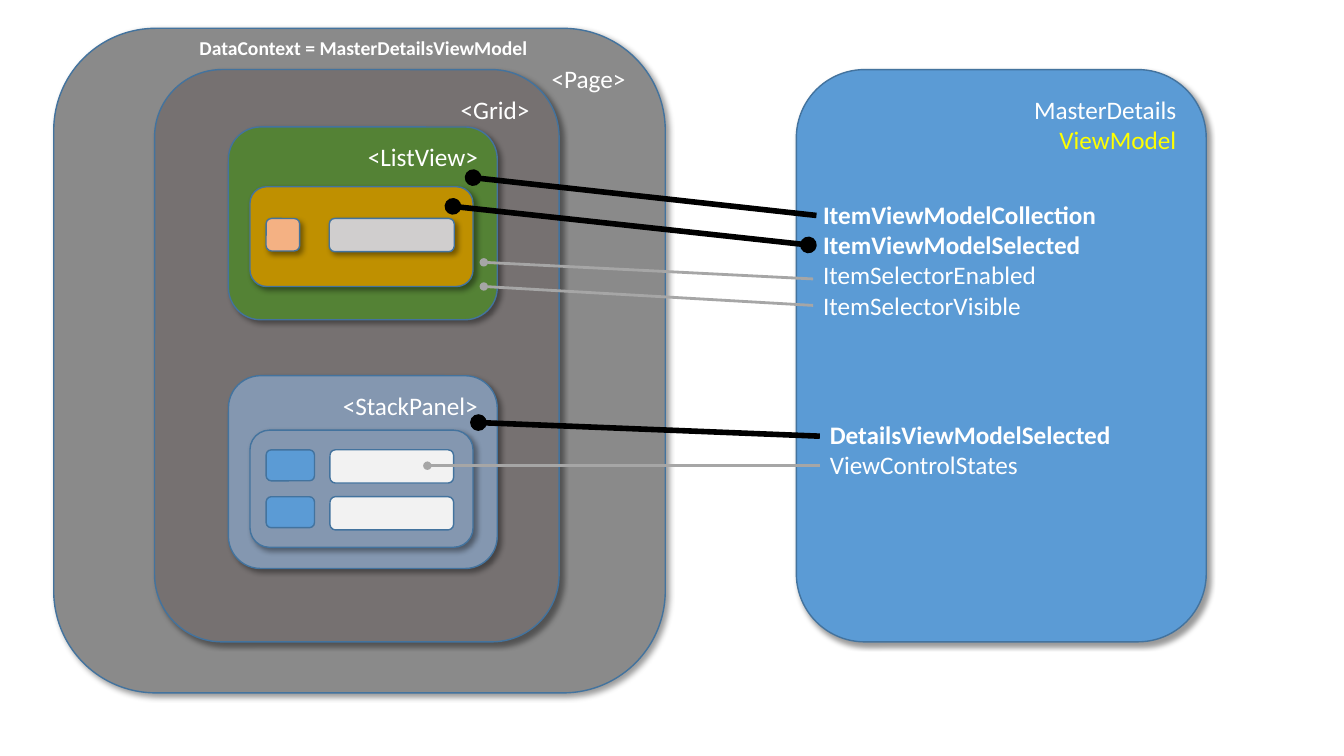
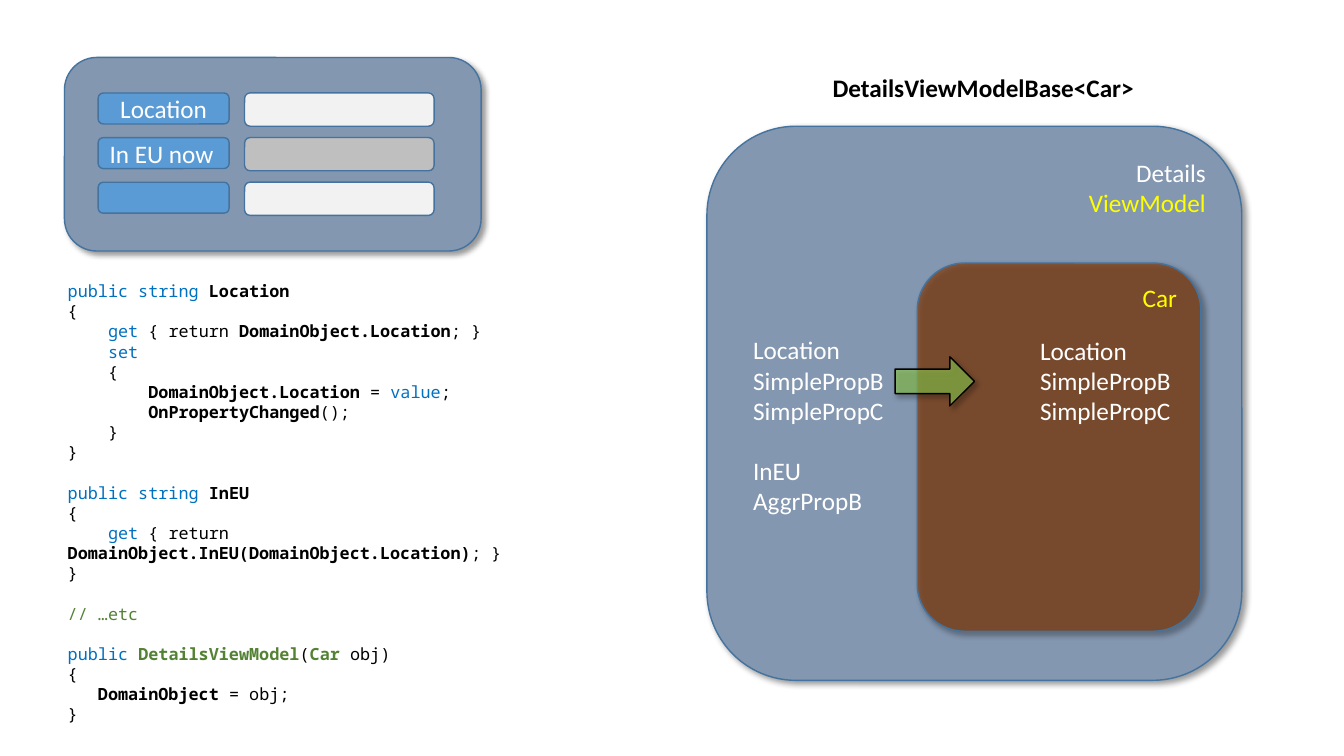
from dataclasses import dataclass

from lxml.etree import SubElement
from pptx import Presentation
from pptx.dml.color import RGBColor
from pptx.enum.shapes import MSO_CONNECTOR, MSO_SHAPE as SHAPE
from pptx.enum.text import MSO_ANCHOR as ANCHOR, MSO_AUTO_SIZE, PP_ALIGN as ALIGN
from pptx.oxml.ns import qn
from pptx.util import Inches, Pt

WIDTH, HEIGHT = Inches(13.33), Inches(7.5)
COLUMN, ROW = WIDTH / 100, HEIGHT / 100  # the grid is 100 columns by 100 rows

WHITE = RGBColor(0xFF, 0xFF, 0xFF)
BLACK = RGBColor(0x00, 0x00, 0x00)
YELLOW = RGBColor(0xFF, 0xFF, 0x00)
OUTLINE = RGBColor(0x43, 0x73, 0x9E)
BLUE = RGBColor(0x5B, 0x9B, 0xD5)
SLATE = RGBColor(0x84, 0x97, 0xB0)
GREEN = RGBColor(0x54, 0x82, 0x35)
LIME = RGBColor(0x92, 0xD0, 0x50)
GOLD = RGBColor(0xBF, 0x90, 0x00)
PEACH = RGBColor(0xF4, 0xB1, 0x83)
BROWN = RGBColor(0x84, 0x3C, 0x0B)
PAGE_GREY = RGBColor(0x8A, 0x8A, 0x8A)
GRID_GREY = RGBColor(0x76, 0x71, 0x71)
LINK_GREY = RGBColor(0xA6, 0xA6, 0xA6)
READONLY_GREY = RGBColor(0xBF, 0xBF, 0xBF)
BAR_GREY = RGBColor(0xD0, 0xCE, 0xCE)
FIELD_GREY = RGBColor(0xF2, 0xF2, 0xF2)
CODE_BLUE = RGBColor(0x00, 0x70, 0xC0)

BODY_FONT, CODE_FONT = "Calibri", "Noto Sans Mono"
LINE_HEIGHT = 1.2

# Text styles: colour and bold
NORMAL, STRONG, ACCENT = (WHITE, False), (WHITE, True), (YELLOW, False)
PLAIN, NAME, KEYWORD = (BLACK, False), (BLACK, True), (CODE_BLUE, False)
TYPE, COMMENT = (GREEN, True), (GREEN, False)

# Blocks of lines, each line a list of styled spans
CODE = [
    [
        [("public string ", KEYWORD), ("Location", NAME)],
        [("{", PLAIN)],
        [("    ", PLAIN), ("get ", KEYWORD), ("{ return ", PLAIN),
         ("DomainObject.Location", NAME), ("; }", PLAIN)],
        [("    ", PLAIN), ("set", KEYWORD)],
        [("    {", PLAIN)],
        [("        ", PLAIN), ("DomainObject.Location ", NAME), ("= ", PLAIN),
         ("value", KEYWORD), (";", PLAIN)],
        [("        ", PLAIN), ("OnPropertyChanged", NAME), ("();", PLAIN)],
        [("    }", PLAIN)],
        [("}", PLAIN)],
    ],
    [
        [("public string ", KEYWORD), ("InEU", NAME)],
        [("{", PLAIN)],
        [("    ", PLAIN), ("get ", KEYWORD), ("{ return ", PLAIN),
         ("DomainObject.InEU(DomainObject.Location)", NAME), ("; }", PLAIN)],
        [("}", PLAIN)],
    ],
    [[("// …etc", COMMENT)]],
    [
        [("public ", KEYWORD), ("DetailsViewModel", TYPE), ("(", PLAIN),
         ("Car ", TYPE), ("obj)", PLAIN)],
        [("{", PLAIN)],
        [("   DomainObject", NAME), (" = obj;", PLAIN)],
        [("}", PLAIN)],
    ],
]


@dataclass
class Box:
    """An area of the slide, in grid columns and rows."""
    left: float
    top: float
    width: float
    height: float

    def area(self, dx, dy, width, height):
        return Box(self.left + dx, self.top + dy, width, height)

    def point(self, dx, dy):
        return self.left + dx, self.top + dy

    def emu(self):
        return (int(self.left * COLUMN), int(self.top * ROW),
                int(self.width * COLUMN), int(self.height * ROW))


def lines(style, *texts):
    return [[(text, style)] for text in texts]


def write(frame, blocks, size=18, font=BODY_FONT, align=ALIGN.LEFT):
    """Fill a frame with blocks of lines, one line's height between blocks."""
    frame.word_wrap = True
    paragraph = None
    for block in blocks:
        for index, line in enumerate(block):
            first = paragraph is None
            paragraph = frame.paragraphs[0] if first else frame.add_paragraph()
            paragraph.alignment = align
            if index == 0 and not first:
                paragraph.space_before = Pt(size * LINE_HEIGHT)
            for text, (color, bold) in line:
                run = paragraph.add_run()
                run.text = text
                run.font.name, run.font.size = font, Pt(size)
                run.font.bold, run.font.color.rgb = bold, color


def add_text(slide, box, blocks, **style):
    write(slide.shapes.add_textbox(*box.emu()).text_frame, blocks, **style)


def add_panel(slide, box, fill, heading=(), align=ALIGN.RIGHT, anchor=ANCHOR.TOP,
              shadow=True, opacity=None, line=OUTLINE, kind=SHAPE.ROUNDED_RECTANGLE):
    panel = slide.shapes.add_shape(kind, *box.emu())
    panel.fill.solid()
    panel.fill.fore_color.rgb = fill
    panel.line.color.rgb, panel.line.width = line, Pt(1)
    panel.shadow.inherit = False
    properties = panel._element.spPr
    if opacity:
        color = properties.find(qn("a:solidFill"))[0]
        SubElement(color, qn("a:alpha"), val=str(opacity * 1000))
    if shadow:
        outer = SubElement(properties.find(qn("a:effectLst")), qn("a:outerShdw"),
                           blurRad=str(Pt(4)), dist=str(Pt(3)), dir=str(45 * 60000),
                           algn="tl", rotWithShape="0")
        color = SubElement(outer, qn("a:srgbClr"), val="000000")
        SubElement(color, qn("a:alpha"), val="40000")
    panel.text_frame.vertical_anchor = anchor
    if heading:
        write(panel.text_frame, [heading], align=align)
    return box


def add_binding(slide, source, target, strong=False, two_way=False):
    """Link a property to a control, with a dot at the control's end."""
    (x1, y1), (x2, y2) = source, target
    link = slide.shapes.add_connector(
        MSO_CONNECTOR.STRAIGHT, int(x1 * COLUMN), int(y1 * ROW),
        int(x2 * COLUMN), int(y2 * ROW))
    link.line.color.rgb = BLACK if strong else LINK_GREY
    link.line.width = Pt(4 if strong else 2)
    properties = link._element.spPr
    stroke = properties.find(qn("a:ln"))
    for end in ["a:headEnd"] * two_way + ["a:tailEnd"]:
        SubElement(stroke, qn(end), type="oval")
    SubElement(properties, qn("a:effectLst"))


def add_fields(slide, box, rows, label_width, value_left, value_width, pitch):
    """Stack label and value pairs from the top left of the box."""
    for index, (label, align, value_fill) in enumerate(rows):
        dy = index * pitch
        add_panel(slide, box.area(0, dy, label_width, 4.1), BLUE,
                  lines(NORMAL, label) if label else (), align, ANCHOR.MIDDLE, shadow=False)
        add_panel(slide, box.area(value_left, dy, value_width, 4.4), value_fill, shadow=False)


def add_list_view(slide, box):
    add_panel(slide, box, GREEN, lines(NORMAL, "<ListView>"))
    item = add_panel(slide, box.area(1.6, 7.9, 16.6, 13.2), GOLD)
    add_panel(slide, item.area(1.2, 4.2, 2.5, 4.3), PEACH)
    add_panel(slide, item.area(5.9, 4.2, 9.3, 4.4), BAR_GREY)
    return box


def add_stack_panel(slide, box):
    add_panel(slide, box, SLATE, lines(NORMAL, "<StackPanel>"))
    details = add_panel(slide, box.area(1.6, 7.2, 16.6, 15.5), SLATE)
    add_fields(slide, details.area(1.2, 2.6, 14.2, 10.6),
               [("", ALIGN.LEFT, FIELD_GREY)] * 2, 3.6, 4.75, 9.2, 6.2)
    return box


def add_page(slide, box):
    """Draw the nested view; return its list view and stack panel."""
    add_panel(slide, box, PAGE_GREY, lines(NORMAL, "<Page>"))
    grid = add_panel(slide, box.area(7.5, 5.45, 30.1, 75.7), GRID_GREY,
                     lines(NORMAL, "<Grid>"))
    add_text(slide, box.area(10.1, 0.4, 28, 4.5),
             [lines(STRONG, "DataContext = MasterDetailsViewModel")], size=14)
    return (add_list_view(slide, grid.area(5.5, 7.6, 20, 25.5)),
            add_stack_panel(slide, grid.area(5.5, 40.5, 20, 25.5)))


def add_master_view_model(slide, box):
    add_panel(slide, box, BLUE, lines(NORMAL, "MasterDetails") + lines(ACCENT, "ViewModel"))
    add_text(slide, box.area(1.25, 16.5, 25, 17.5),
             [lines(STRONG, "ItemViewModelCollection", "ItemViewModelSelected")
              + lines(NORMAL, "ItemSelectorEnabled", "ItemSelectorVisible")])
    add_text(slide, box.area(1.75, 45.6, 25, 9.5),
             [lines(STRONG, "DetailsViewModelSelected") + lines(NORMAL, "ViewControlStates")])
    return box


def build_master_details(slide):
    list_view, stack_panel = add_page(slide, Box(4, 3.75, 45.5, 87.9))
    model = add_master_view_model(slide, Box(59.25, 9.2, 30.5, 75.7))
    for source, control, target, strong, two_way in [
        ((1.5, 19.3), list_view, (18.2, 6.7), True, False),
        ((1.75, 48.5), stack_panel, (18.6, 6.2), True, False),
        ((0.9, 23.2), list_view, (16.7, 10.5), True, True),
        ((1.25, 27.7), list_view, (19, 17.9), False, False),
        ((1.25, 31.2), list_view, (19, 21.1), False, False),
        ((1.75, 52.4), stack_panel, (14.8, 11.9), False, False),
    ]:
        add_binding(slide, model.point(*source), control.point(*target), strong, two_way)


def add_form(slide, box):
    add_panel(slide, box, SLATE)
    rows = [("Location", ALIGN.CENTER, FIELD_GREY),
            ("In EU now", ALIGN.LEFT, READONLY_GREY),
            ("", ALIGN.LEFT, FIELD_GREY)]
    add_fields(slide, box.area(2.5, 4.7, 25, 16.2), rows, 9.75, 10.9, 14.1, 5.9)


def add_details_view_model(slide, box):
    add_panel(slide, box, SLATE, lines(NORMAL, "Details") + lines(ACCENT, "ViewModel"))
    car = add_panel(slide, box.area(15.65, 18.1, 21.1, 48.7), BROWN,
                    lines(ACCENT, "Car"), opacity=70)
    simple = lines(NORMAL, "Location", "SimplePropB", "SimplePropC")
    add_text(slide, box.area(2.7, 26.9, 12.5, 25.6),
             [simple, lines(NORMAL, "InEU", "AggrPropB")])
    add_text(slide, car.area(8.4, 8.9, 12.5, 13.5), [simple])
    add_panel(slide, box.area(14, 30.5, 5.9, 6.5), LIME, opacity=60,
              line=BLACK, kind=SHAPE.RIGHT_ARROW)


def set_title(slide, box, text):
    title = slide.shapes.title
    title.left, title.top, title.width, title.height = box.emu()
    title.text_frame.auto_size = MSO_AUTO_SIZE.NONE
    title.text_frame.vertical_anchor = ANCHOR.TOP
    write(title.text_frame, [lines(NAME, text)])


def build_details(slide):
    set_title(slide, Box(61.2, 8.9, 33.7, 5.3), "DetailsViewModelBase<Car>")
    add_details_view_model(slide, Box(52.6, 16.7, 39.8, 73.3))
    add_form(slide, Box(4.8, 7.6, 31, 25.6))
    add_text(slide, Box(4.3, 36.5, 36, 57.9), CODE, size=12, font=CODE_FONT)


def main():
    deck = Presentation()
    deck.slide_width, deck.slide_height = WIDTH, HEIGHT
    title_only, blank = deck.slide_layouts[5], deck.slide_layouts[6]
    build_master_details(deck.slides.add_slide(blank))
    build_details(deck.slides.add_slide(title_only))
    deck.save("out.pptx")


if __name__ == "__main__":
    main()
